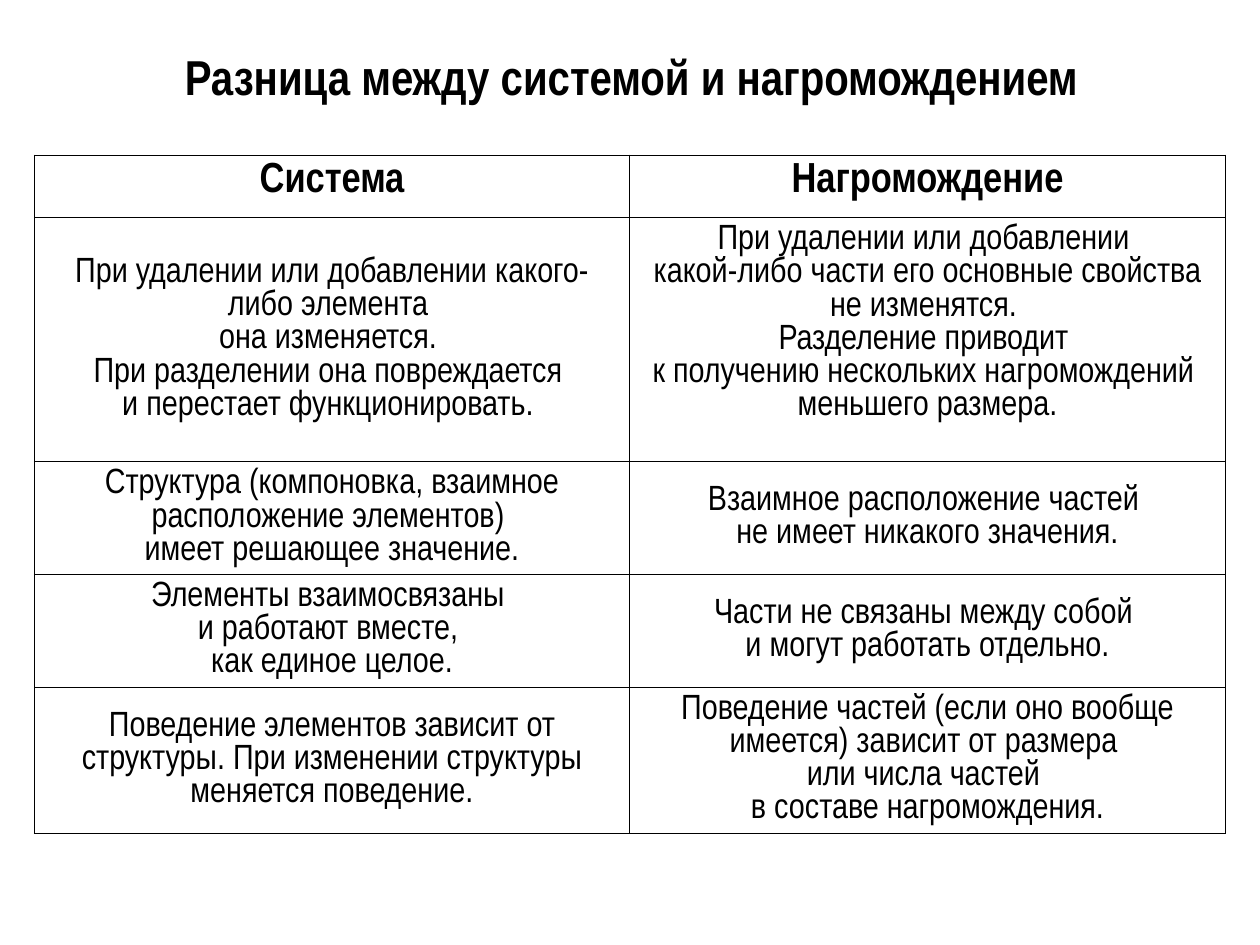
from dataclasses import dataclass

from lxml.etree import SubElement
from pptx import Presentation
from pptx.dml.color import RGBColor
from pptx.enum.text import MSO_ANCHOR, PP_ALIGN
from pptx.oxml.ns import qn
from pptx.util import Pt


@dataclass(frozen=True)
class Theme:
    font: str = "Arial Narrow"
    ink: str = "000000"
    paper: str = "FFFFFF"
    title_size: float = 28
    header_size: float = 24
    body_size: float = 20
    body_spacing: float = 19
    border_width: float = 0.45
    inset_x: float = 7.2
    inset_y: float = 3.6


THEME = Theme()
TOP, MIDDLE = MSO_ANCHOR.TOP, MSO_ANCHOR.MIDDLE

TITLE = "Разница между системой и нагромождением"
HEADERS = ["Система", "Нагромождение"]

# Each cell: vertical anchor, then its paragraphs
COMPARISON = [
    [
        (MIDDLE, ["При удалении или добавлении какого-либо элемента ",
                  "она изменяется. ",
                  "При разделении она повреждается ",
                  "и перестает функционировать. "]),
        (TOP, ["При удалении или добавлении ",
               "какой-либо части его основные свойства не изменятся. ",
               "Разделение приводит ",
               "к получению нескольких нагромождений ",
               "меньшего размера."]),
    ],
    [
        (TOP, ["Структура (компоновка, взаимное расположение элементов) ",
               "имеет решающее значение."]),
        (MIDDLE, ["Взаимное расположение частей ",
                  "не имеет никакого значения."]),
    ],
    [
        (TOP, ["Элементы взаимосвязаны ",
               "и работают вместе, ",
               "как единое целое."]),
        (MIDDLE, ["Части не связаны между собой ",
                  "и могут работать отдельно."]),
    ],
    [
        (MIDDLE, ["Поведение элементов зависит от структуры. "
                  "При изменении структуры меняется поведение."]),
        (TOP, ["Поведение частей (если оно вообще имеется) зависит от размера ",
               "или числа частей ",
               "в составе нагромождения."]),
    ],
]
ROW_HEIGHTS = [35.64, 139.6, 64.4, 64.4, 83.5]


def write_paragraphs(text_frame, lines, size, bold=False, spacing=None):
    """Fill a text frame with centred paragraphs."""
    text_frame.word_wrap = True
    for index, line in enumerate(lines):
        paragraph = text_frame.add_paragraph() if index else text_frame.paragraphs[0]
        paragraph.alignment = PP_ALIGN.CENTER
        if spacing:
            paragraph.line_spacing = Pt(spacing)
        run = paragraph.add_run()
        run.text = line
        run.font.name = THEME.font
        run.font.size = Pt(size)
        run.font.bold = bold
        run.font.color.rgb = RGBColor.from_string(THEME.ink)


def set_insets(box):
    box.margin_left = box.margin_right = Pt(THEME.inset_x)
    box.margin_top = box.margin_bottom = Pt(THEME.inset_y)


def style_cell(cell, anchor):
    """Give a cell thin borders, a plain fill and its text position."""
    set_insets(cell)
    cell.vertical_anchor = anchor
    properties = cell._tc.get_or_add_tcPr()
    for side in ("a:lnL", "a:lnR", "a:lnT", "a:lnB"):
        border = SubElement(properties, qn(side), w=str(Pt(THEME.border_width)))
        fill = SubElement(border, qn("a:solidFill"))
        SubElement(fill, qn("a:srgbClr"), val=THEME.ink)
    cell.fill.solid()
    cell.fill.fore_color.rgb = RGBColor.from_string(THEME.paper)


def add_title(slide, left, top, width, height):
    shape = slide.shapes.add_textbox(Pt(left), Pt(top), Pt(width), Pt(height))
    set_insets(shape.text_frame)
    shape.text_frame.vertical_anchor = MIDDLE
    write_paragraphs(shape.text_frame, [TITLE], THEME.title_size, bold=True)


def add_comparison_table(slide, left, top, width, row_heights):
    shape = slide.shapes.add_table(len(row_heights), len(HEADERS), Pt(left), Pt(top),
                                   Pt(width), Pt(sum(row_heights)))
    table = shape.table
    table.first_row = table.horz_banding = False
    for column in table.columns:
        column.width = Pt(width / len(HEADERS))
    for row, height in zip(table.rows, row_heights):
        row.height = Pt(height)

    # Header row
    for column_index, header in enumerate(HEADERS):
        cell = table.cell(0, column_index)
        style_cell(cell, TOP)
        write_paragraphs(cell.text_frame, [header], THEME.header_size, bold=True)

    # Comparison rows
    for row_index, row in enumerate(COMPARISON, start=1):
        for column_index, (anchor, lines) in enumerate(row):
            cell = table.cell(row_index, column_index)
            style_cell(cell, anchor)
            write_paragraphs(cell.text_frame, lines, THEME.body_size,
                             spacing=THEME.body_spacing)


def main():
    presentation = Presentation()
    presentation.slide_width, presentation.slide_height = Pt(720), Pt(540)
    slide = presentation.slides.add_slide(presentation.slide_layouts[6])
    slide.background.fill.solid()
    slide.background.fill.fore_color.rgb = RGBColor.from_string(THEME.paper)
    add_comparison_table(slide, 19.6, 88.6, 680.6, ROW_HEIGHTS)
    add_title(slide, 36.7, 15.1, 648, 56.9)
    presentation.save("out.pptx")


if __name__ == "__main__":
    main()
